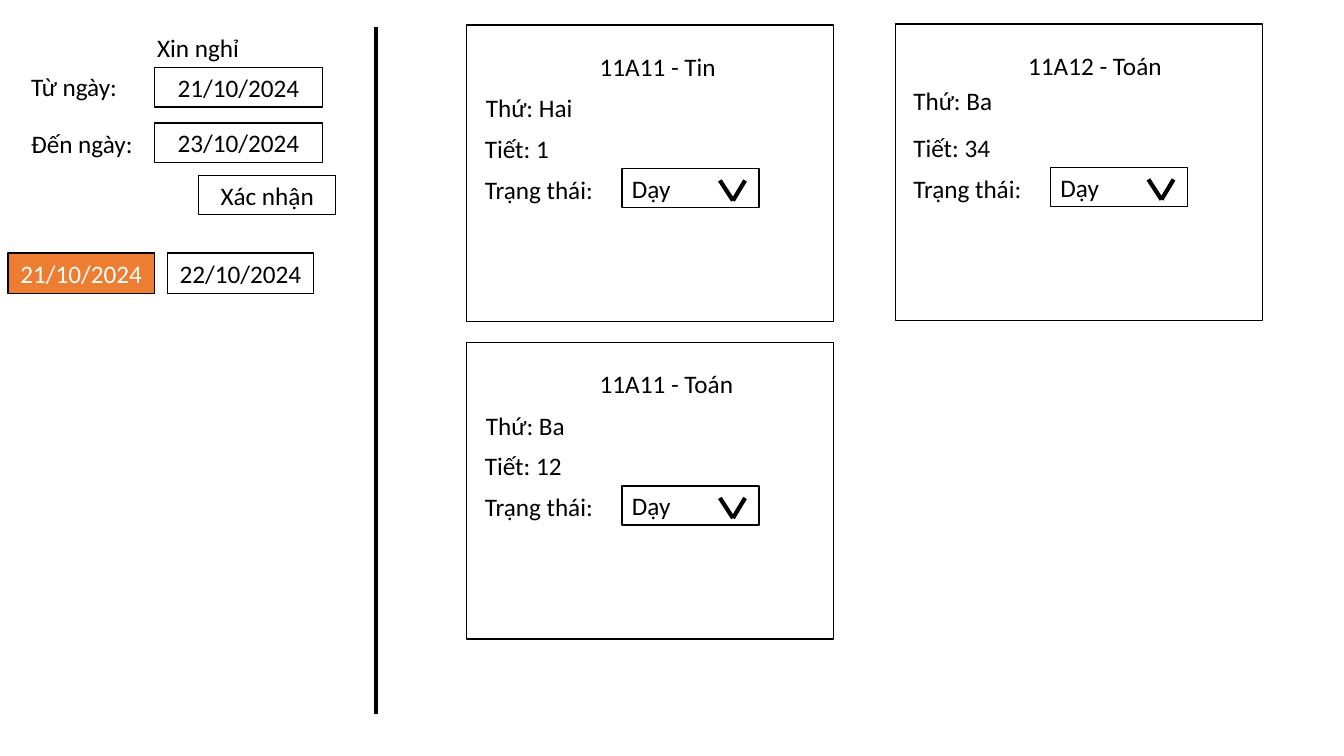
"""Build the leave request slide with its date form and class cards."""
from lxml.etree import SubElement
from pptx import Presentation
from pptx.dml.color import RGBColor
from pptx.enum.shapes import MSO_CONNECTOR, MSO_SHAPE
from pptx.enum.text import MSO_ANCHOR, MSO_AUTO_SIZE, PP_ALIGN
from pptx.oxml.ns import qn
from pptx.util import Inches, Pt

BLACK, WHITE, ORANGE = "000000", "FFFFFF", "ED7D31"

deck = Presentation()
deck.slide_width, deck.slide_height = Inches(13.33), Inches(7.5)
page = deck.slides.add_slide(deck.slide_layouts[6])


def add_box(text, left, top, width, height=0.4, fill=None, color=BLACK, align=PP_ALIGN.CENTER):
    place = [Inches(value) for value in (left, top, width, height)]
    if fill:
        box = page.shapes.add_shape(MSO_SHAPE.RECTANGLE, *place)
        box.shadow.inherit = False
        box.fill.solid()
        box.fill.fore_color.rgb = RGBColor.from_string(fill)
        box.line.color.rgb = RGBColor.from_string(BLACK)
        box.line.width = Pt(1)
        frame_format = {"word_wrap": True, "vertical_anchor": MSO_ANCHOR.MIDDLE}
    else:
        box = page.shapes.add_textbox(*place)
        align = PP_ALIGN.LEFT
        frame_format = {"word_wrap": False, "auto_size": MSO_AUTO_SIZE.SHAPE_TO_FIT_TEXT}
    if not text:
        return
    for name, value in frame_format.items():
        setattr(box.text_frame, name, value)
    para = box.text_frame.paragraphs[0]
    para.alignment = align
    span = para.add_run()
    span.text = text
    for name, value in {"name": "Calibri", "size": Pt(18)}.items():
        setattr(span.font, name, value)
    span.font.color.rgb = RGBColor.from_string(color)


def add_line(shapes, *ends):
    line = shapes.add_connector(MSO_CONNECTOR.STRAIGHT, *[Inches(value) for value in ends])
    line.line.color.rgb = RGBColor.from_string(BLACK)
    line.line.width = Pt(3)
    SubElement(line._element.spPr, qn("a:effectLst"))


add_line(page.shapes, 3.73, 0.27, 3.73, 7.08)
add_box("Xin nghỉ", 1.46, 0.27, 1.03)

date_rows = [
    ("Từ ngày:", 0.66, 1.07, "21/10/2024", 0.67),
    ("Đến ngày:", 1.22, 1.22, "23/10/2024", 1.22),
]
for label, label_top, label_width, date, date_top in date_rows:
    add_box(label, 0.21, label_top, label_width)
    add_box(date, 1.53, date_top, 1.67, 0.39, WHITE)
add_box("Xác nhận", 1.97, 1.74, 1.36, 0.39, WHITE)
add_box("21/10/2024", 0.08, 2.51, 1.45, 0.4, ORANGE, WHITE)
add_box("22/10/2024", 1.66, 2.51, 1.45, 0.4, WHITE)

cards = [
    (4.63, 0.25, "11A11 - Tin", 1.37, "Thứ: Hai", 1.07, 0.09, 0.62, "Tiết: 1", 0.85),
    (8.88, 0.24, "11A12 - Toán", 1.54, "Thứ: Ba", 0.99, 0.08, 0.56, "Tiết: 34", 0.97),
    (4.63, 3.4, "11A11 - Toán", 1.54, "Thứ: Ba", 0.99, 0.09, 0.62, "Tiết: 12", 0.97),
]
for left, top, title, title_width, day, day_width, day_x, day_y, period, period_width in cards:
    add_box("", left, top, 3.64, 2.94, WHITE)
    add_box(title, left + 1.22, top + 0.21, title_width)
    add_box(day, left + day_x, top + day_y, day_width)
    add_box(period, left + 0.08, top + 1.02, period_width)
    add_box("Trạng thái:", left + 0.08, top + 1.43, 1.29)
    add_box("Dạy", left + 1.54, top + 1.42, 1.36, 0.39, WHITE, align=PP_ALIGN.LEFT)
    chevron = page.shapes.add_group_shape()
    for arm in (2.51, 2.76):
        add_line(chevron.shapes, left + arm, top + 1.54, left + 2.64, top + 1.74)

deck.save("out.pptx")
